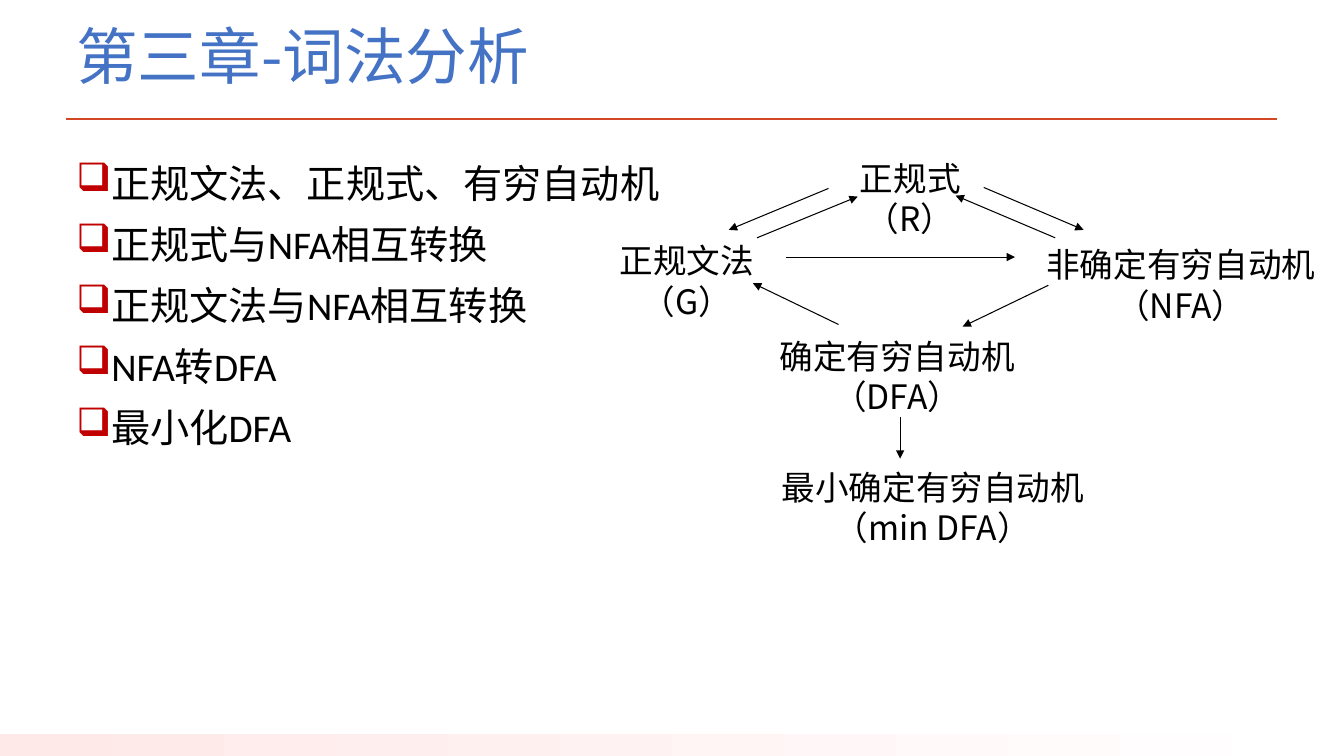
"""Build the chapter slide on lexical analysis with its conversion diagram."""
from lxml import etree
from pptx import Presentation
from pptx.dml.color import RGBColor
from pptx.enum.shapes import MSO_CONNECTOR, MSO_SHAPE
from pptx.enum.text import MSO_ANCHOR, PP_ALIGN
from pptx.oxml.ns import qn
from pptx.util import Pt

STRAIGHT = MSO_CONNECTOR.STRAIGHT
RECTANGLE = MSO_SHAPE.RECTANGLE
TOP, MIDDLE = MSO_ANCHOR.TOP, MSO_ANCHOR.MIDDLE
LEFT, CENTER = PP_ALIGN.LEFT, PP_ALIGN.CENTER

BLACK = RGBColor(0, 0, 0)
WHITE = RGBColor(0xFF, 0xFF, 0xFF)
BLUE = RGBColor(0x44, 0x72, 0xC4)
ORANGE = RGBColor(0xD2, 0x47, 0x26)
RED = RGBColor(0xC0, 0, 0)
PINK = RGBColor(0xFF, 0xE8, 0xE8)
CJK_FONT = "Noto Sans CJK SC"

TITLE_STYLE = {
    "font": {"name": CJK_FONT, "size": Pt(44)},
    "paragraph": {"alignment": LEFT, "line_spacing": 0.9},
    "frame": {"word_wrap": True, "vertical_anchor": MIDDLE},
}
TOPIC_STYLE = {
    "font": {"name": "Calibri", "size": Pt(28)},
    "paragraph": {"alignment": LEFT, "line_spacing": Pt(33.6), "space_after": Pt(10)},
    "frame": {"word_wrap": True, "vertical_anchor": TOP, "margin_top": Pt(7)},
}
NODE_STYLE = {
    "font": {"name": CJK_FONT, "size": Pt(24)},
    "paragraph": {"alignment": CENTER, "line_spacing": Pt(28.8)},
    "frame": {"word_wrap": True, "vertical_anchor": TOP, "margin_top": Pt(6)},
}

TOPICS = ["正规文法、正规式、有穷自动机", "正规式与NFA相互转换", "正规文法与NFA相互转换",
          "NFA转DFA", "最小化DFA"]
NODES = [
    (["正规式", "（R）"], (600.5, 106.6, 99.4, 37.4)),
    (["正规文法", "（G）"], (431.3, 165.6, 118.8, 67)),
    (["非确定有穷自动机（NFA）"], (714.2, 168.5, 258.5, 38.2)),
    (["确定有穷自动机", "（DFA）"], (529.9, 234, 221.8, 41)),
    (["最小确定有穷自动机", "（min DFA）"], (529.9, 327.6, 272.9, 36.7)),
]
CONVERSIONS = [
    (561.6, 183.6, 725, 183.6),
    (748.8, 203.8, 687.6, 233.3),
    (599, 231.8, 537.8, 202.3),
    (643, 298.1, 643, 327.6),
    (540.7, 169.9, 612.7, 140.4),
    (591.8, 134.6, 520.6, 164.2),
    (702.7, 133.9, 774, 164.2),
    (753.8, 169.9, 682.6, 139.7),
]


def apply_format(target, values):
    """Set each named attribute on the target."""
    for name, value in values.items():
        setattr(target, name, value)


def add_text(slide, lines, box, style, color=BLACK):
    """Add a text box with one paragraph per line and return its paragraphs."""
    frame = slide.shapes.add_textbox(*map(Pt, box)).text_frame
    apply_format(frame, style["frame"])
    frame.text = "\n".join(lines)
    for paragraph in frame.paragraphs:
        apply_format(paragraph, style["paragraph"])
        font = paragraph.runs[0].font
        apply_format(font, style["font"])
        font.color.rgb = color
        east_asian = etree.SubElement(paragraph.runs[0]._r.get_or_add_rPr(), qn("a:ea"))
        east_asian.set("typeface", CJK_FONT)
    return frame.paragraphs


def add_bullet(paragraph):
    """Give a paragraph a red box bullet with a hanging indent."""
    properties = paragraph._p.get_or_add_pPr()
    properties.set("marL", str(Pt(18)))
    properties.set("indent", str(-Pt(18)))
    bullet_color = etree.SubElement(properties, qn("a:buClr"))
    etree.SubElement(bullet_color, qn("a:srgbClr")).set("val", str(RED))
    etree.SubElement(properties, qn("a:buChar")).set("char", "❑")


def add_line(slide, ends, color, width, arrow=False):
    """Draw a straight line, with an arrowhead at its end if wanted."""
    connector = slide.shapes.add_connector(STRAIGHT, *map(Pt, ends))
    connector.line.color.rgb = color
    connector.line.width = Pt(width)
    if arrow:
        outline = connector.line._get_or_add_ln()
        etree.SubElement(outline, qn("a:tailEnd")).set("type", "triangle")
    etree.SubElement(connector._element.spPr, qn("a:effectLst"))


def add_footer_band(slide):
    """Draw the band that fades from pink to white along the bottom edge."""
    band = slide.shapes.add_shape(RECTANGLE, *map(Pt, (0, 524.2, 960, 15.8)))
    band.shadow.inherit = False
    band.line.fill.background()
    band.fill.gradient()
    band.fill.gradient_angle = 0
    for stop, position, color in zip(band.fill.gradient_stops, (0, 1), (PINK, WHITE)):
        stop.position = position
        stop.color.rgb = color


def main():
    """Assemble and save the slide."""
    deck = Presentation()
    apply_format(deck, {"slide_width": Pt(960), "slide_height": Pt(540)})
    slide = deck.slides.add_slide(deck.slide_layouts[6])
    add_footer_band(slide)
    add_line(slide, (47.5, 85, 912.2, 85), ORANGE, 2)
    add_text(slide, ["第三章-词法分析"], (47.5, 0, 828, 85), TITLE_STYLE, BLUE)
    for topic in add_text(slide, TOPICS, (47.5, 106.6, 864.7, 411.1), TOPIC_STYLE):
        add_bullet(topic)
    for lines, box in NODES:
        add_text(slide, lines, box, NODE_STYLE)
    for ends in CONVERSIONS:
        add_line(slide, ends, BLACK, 0.75, arrow=True)
    deck.save("out.pptx")


if __name__ == "__main__":
    main()
